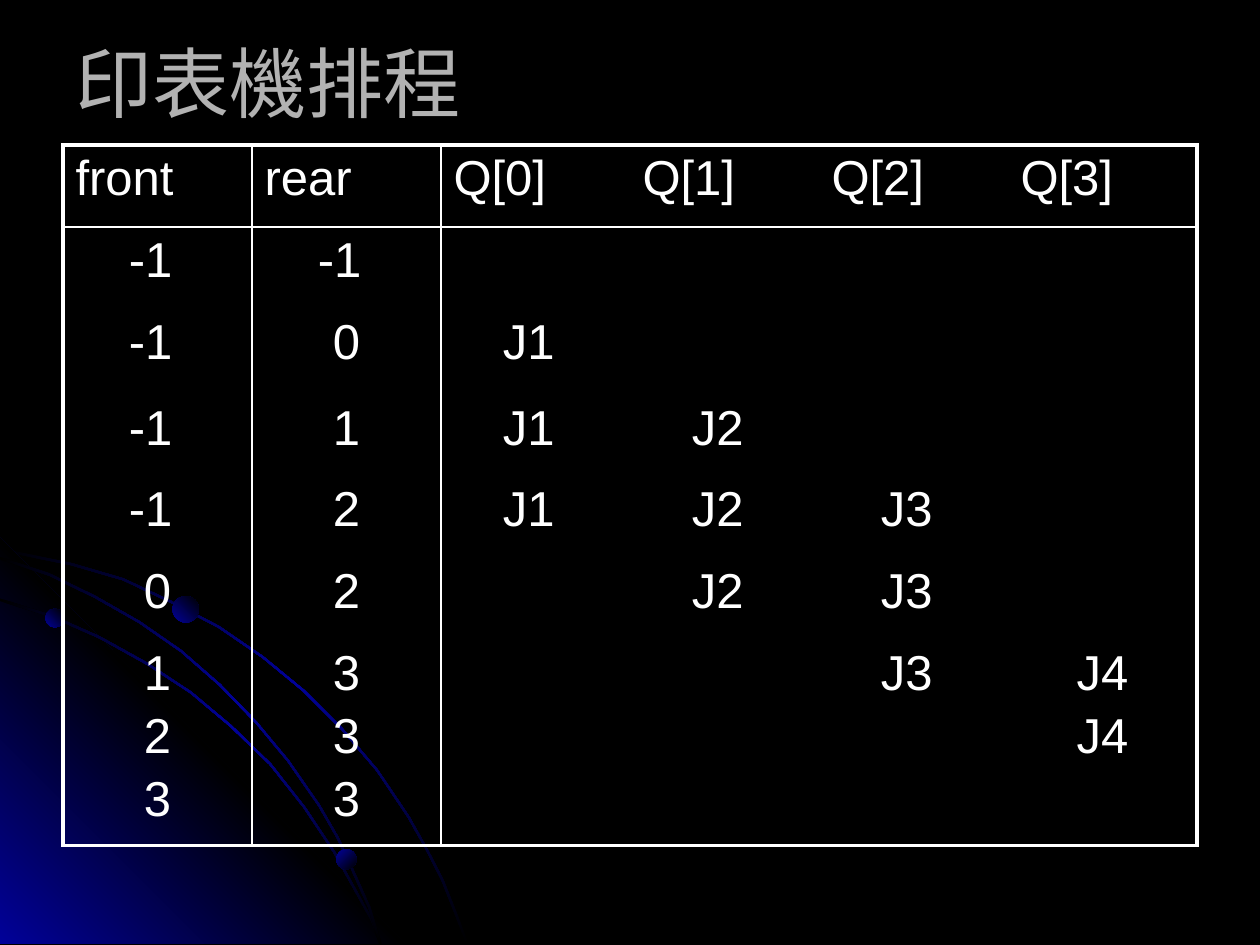
from copy import deepcopy

from lxml.etree import SubElement
from pptx import Presentation
from pptx.dml.color import RGBColor
from pptx.enum.shapes import MSO_SHAPE
from pptx.enum.text import MSO_ANCHOR, PP_ALIGN
from pptx.oxml.ns import qn
from pptx.util import Pt

BLACK, BLUE, WHITE, GREY = "000000", "010199", "FFFFFF", "B2B2B2"

OUTER_ARC = [(0, 313.2), (20.2, 317.5), (41, 321.8), (70.6, 330.5), (97.9, 343.4),
             (125.3, 357.8), (150.5, 375.1), (174.2, 394.6), (195.8, 416.2),
             (216, 439.9), (234, 466.6), (244.1, 484.6), (253.4, 502.6),
             (260.6, 520.6), (267.8, 539.3)]
MIDDLE_ARC = [(0, 318.2), (28.1, 327.6), (54.7, 340.6), (79.9, 355), (103.7, 371.5),
              (126, 391), (146.9, 412.6), (164.9, 434.2), (182.9, 460.1),
              (193.7, 478.8), (203, 499), (211.7, 518.4), (218.2, 539.3)]
INNER_ARC = [(0, 342), (29.5, 351.4), (57, 363.6), (84.2, 378.7), (109.4, 395.3),
             (132.5, 414.7), (154.8, 436.3), (174.2, 460.8), (191.5, 486.7),
             (205.9, 512.6), (213.1, 525.6), (218.2, 539.3)]
GLOW = [(0, 307.4), (231.8, 539.3), (0, 539.3)]
PLANETS = [(25.9, 347.8, 10.8, 315), (192.2, 485.3, 11.5, 45), (98.6, 340.6, 15.1, 315)]

QUEUE_STATES = [
    ["front", "rear", "Q[0]", "Q[1]", "Q[2]", "Q[3]"],
    ["-1 ", "-1 ", "", "", "", ""],
    ["-1 ", "0", "J1 ", "", "", ""],
    ["-1 ", "1", "J1 ", "J2 ", "", ""],
    ["-1 ", "2", "J1 ", "J2 ", "J3 ", ""],
    ["0", "2", "", "J2 ", "J3 ", ""],
    ["1\n2\n3", "3\n3\n3", "", "", "J3 ", "J4\nJ4"],
]
ROW_HEIGHTS = [46.8, 46.8, 49, 46.8, 46.8, 46.8, 113.8]
COLUMN_WIDTH = 108
COLUMN_RULES = {0: 2.25, 1: 1, 2: 1, 6: 2.25}
ROW_RULES = {0: 2.25, 1: 1, 7: 2.25}


def rgb(color):
    return RGBColor.from_string(color)


def write(frame, text, size=28, color=WHITE, align=PP_ALIGN.LEFT, gap=0):
    for index, line in enumerate(text.split("\n")):
        paragraph = frame.add_paragraph() if index else frame.paragraphs[0]
        paragraph.alignment = align
        paragraph.space_before = Pt(gap if index else 0)
        run = paragraph.add_run()
        run.text = line
        run.font.name = "Arial"
        run.font.size = Pt(size)
        run.font.color.rgb = rgb(color)


def shade(shape, colors, clockwise):
    shape.shadow.inherit = False
    shape.line.fill.background()
    shape.fill.gradient()
    shape.fill.gradient_angle = 360 - clockwise
    stop_list = next(shape.element.iter(qn("a:gsLst")))
    for _ in colors[2:]:
        stop_list.append(deepcopy(stop_list[0]))
    for index, (stop, color) in enumerate(zip(shape.fill.gradient_stops, colors)):
        stop.position = index / (len(colors) - 1)
        stop.color.rgb = rgb(color)


def add_outline(slide, points, colors, clockwise):
    corners = [(Pt(x), Pt(y)) for x, y in points]
    builder = slide.shapes.build_freeform(*corners[0], scale=1.0)
    builder.add_line_segments(corners[1:], close=True)
    shade(builder.convert_to_shape(), colors, clockwise)


def add_orbit(slide, arc, thickness=1.5):
    last = len(arc) - 1
    lower = [(x - thickness * i / last, y + thickness * (1 - i / last))
             for i, (x, y) in enumerate(arc)]
    add_outline(slide, arc + lower[::-1], [BLACK, BLUE, BLACK], 45)


def add_planet(slide, left, top, size, clockwise):
    planet = slide.shapes.add_shape(MSO_SHAPE.OVAL, Pt(left), Pt(top), Pt(size), Pt(size))
    shade(planet, [BLUE, BLACK], clockwise)


def add_title(slide, text):
    title = slide.shapes.add_textbox(Pt(36), Pt(21.6), Pt(648), Pt(49.7))
    title.text_frame.word_wrap = True
    title.text_frame.vertical_anchor = MSO_ANCHOR.MIDDLE
    write(title.text_frame, text, size=44, color=GREY)


def rule_cell(cell, row, column):
    cell.fill.background()
    properties = cell._tc.get_or_add_tcPr()
    widths = {"a:lnL": COLUMN_RULES.get(column), "a:lnR": COLUMN_RULES.get(column + 1),
              "a:lnT": ROW_RULES.get(row), "a:lnB": ROW_RULES.get(row + 1)}
    for position, (side, width) in enumerate(widths.items()):
        edge = SubElement(properties, qn(side))
        properties.insert(position, edge)
        if width:
            edge.set("w", str(Pt(width)))
            fill = SubElement(edge, qn("a:solidFill"))
            SubElement(fill, qn("a:srgbClr"), val=WHITE)
        else:
            SubElement(edge, qn("a:noFill"))


def add_queue_table(slide):
    columns = len(QUEUE_STATES[0])
    table = slide.shapes.add_table(len(QUEUE_STATES), columns, Pt(36), Pt(82.8),
                                   Pt(columns * COLUMN_WIDTH), Pt(sum(ROW_HEIGHTS))).table
    table.first_row = False
    table.horz_banding = False
    for row, (state, height) in enumerate(zip(QUEUE_STATES, ROW_HEIGHTS)):
        table.rows[row].height = Pt(height)
        for column, value in enumerate(state):
            cell = table.cell(row, column)
            rule_cell(cell, row, column)
            if value:
                write(cell.text_frame, value, gap=4.7,
                      align=PP_ALIGN.CENTER if row else PP_ALIGN.LEFT)


def main():
    deck = Presentation()
    deck.slide_width, deck.slide_height = Pt(720), Pt(540)
    slide = deck.slides.add_slide(deck.slide_layouts[6])
    slide.background.fill.solid()
    slide.background.fill.fore_color.rgb = rgb(BLACK)

    add_orbit(slide, OUTER_ARC)
    add_outline(slide, GLOW, [BLUE, BLACK, BLUE], 315)
    add_orbit(slide, INNER_ARC)
    add_orbit(slide, MIDDLE_ARC)
    for planet in PLANETS:
        add_planet(slide, *planet)

    add_title(slide, "印表機排程")
    add_queue_table(slide)
    deck.save("out.pptx")


if __name__ == "__main__":
    main()
